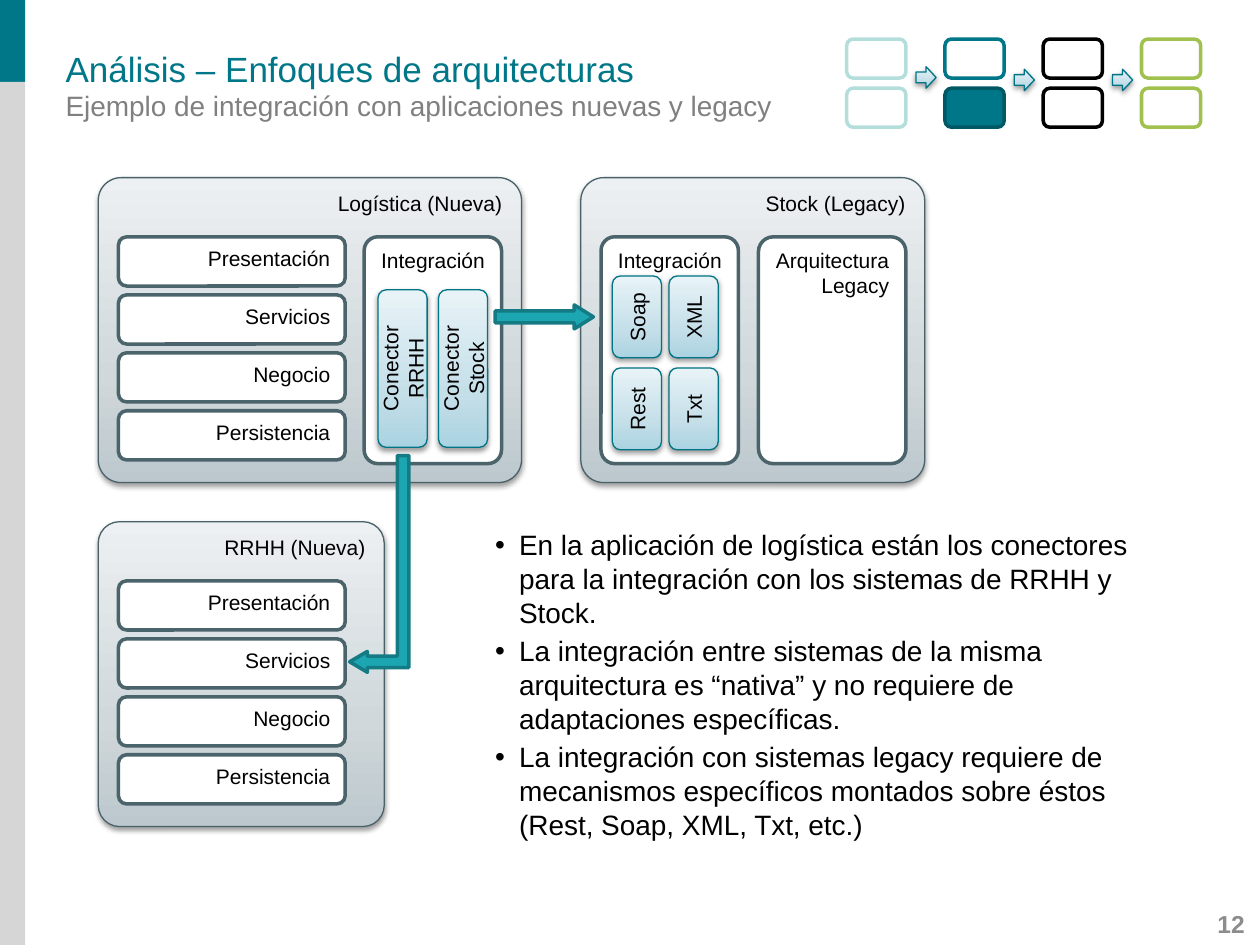
from lxml import etree
from pptx import Presentation
from pptx.dml.color import RGBColor
from pptx.enum.shapes import MSO_SHAPE
from pptx.enum.text import MSO_ANCHOR, MSO_AUTO_SIZE, PP_ALIGN
from pptx.oxml.ns import qn
from pptx.util import Inches, Pt

RECTANGLE, ROUNDED = MSO_SHAPE.RECTANGLE, MSO_SHAPE.ROUNDED_RECTANGLE
RIGHT_ARROW, BENT_ARROW = MSO_SHAPE.RIGHT_ARROW, MSO_SHAPE.BENT_UP_ARROW
LEFT, CENTER, RIGHT = PP_ALIGN.LEFT, PP_ALIGN.CENTER, PP_ALIGN.RIGHT
TOP, MIDDLE = MSO_ANCHOR.TOP, MSO_ANCHOR.MIDDLE

FONT = "Arial"
COLORS = {
    "teal": "007788", "teal_dark": "005865", "strip": "D6D6D6", "grey": "808080",
    "number": "8C8C8C", "black": "000000", "white": "FFFFFF", "pale": "B4DEDC",
    "green": "A1C14E", "box_line": "4B636A", "panel_line": "496168",
    "connector_line": "007485", "arrow": "1BA6B2", "arrow_line": "147B84",
}
STOPS = (0, 35, 100)
GRADIENTS = {
    "panel": ("BCC8CD", "D0D8DB", "EDF0F2"),
    "connector": ("AAD3E1", "C5DFE9", "E8F3F7"),
}
STYLES = {
    "panel": {"gradient": "panel", "line": "panel_line", "width": 0.75},
    "box": {"fill": "white", "line": "box_line", "width": 2},
    "connector": {"gradient": "connector", "line": "connector_line", "width": 0.75},
    "arrow": {"fill": "arrow", "line": "arrow_line", "width": 2},
}

TITLE = "Análisis – Enfoques de arquitecturas"
SUBTITLE = "Ejemplo de integración con aplicaciones nuevas y legacy"
POINTS = [
    "En la aplicación de logística están los conectores para la integración con los sistemas de RRHH y Stock.",
    "La integración entre sistemas de la misma arquitectura es “nativa” y no requiere de adaptaciones específicas.",
    "La integración con sistemas legacy requiere de mecanismos específicos montados sobre éstos "
    "(Rest, Soap, XML, Txt, etc.)",
]
PAGE_NUMBER = "12"
LAYERS = ["Presentación", "Servicios", "Negocio", "Persistencia"]
# Columns and connectors: text, offset from the panel, size
SYSTEMS = [
    {"name": "Logística (Nueva)", "at": (0.78, 1.41), "width": 3.36, "layers": LAYERS,
     "columns": [("Integración", 2.11, 1.09)],
     "connectors": [("Conector RRHH", 2.22, 0.89, 1.25), ("Conector Stock", 2.7, 0.89, 1.25)]},
    {"name": "RRHH (Nueva)", "at": (0.78, 4.14), "width": 2.27, "layers": LAYERS,
     "columns": [], "connectors": []},
    {"name": "Stock (Legacy)", "at": (4.61, 1.41), "width": 2.73, "layers": [],
     "columns": [("Integración", 0.16, 1.09), ("Arquitectura Legacy", 1.41, 1.17)],
     "connectors": [("Soap", 0.25, 0.78, 0.65), ("XML", 0.7, 0.78, 0.65),
                    ("Rest", 0.25, 1.51, 0.65), ("Txt", 0.7, 1.51, 0.65)]},
]
PANEL_HEIGHT, COLUMN_HEIGHT = 2.42, 1.8
INNER_LEFT, INNER_TOP = 0.16, 0.47
LAYER_WIDTH, LAYER_HEIGHT, LAYER_PITCH = 1.8, 0.39, 0.46
CONNECTOR_WIDTH = 0.39

STAGES = ["pale", "teal", "black", "green"]
CURRENT_STAGE = (1, 1)
STAGE_LEFT, STAGE_TOP, STAGE_PITCH, STAGE_ROW = 6.72, 0.31, 0.78, 0.39
STAGE_ARROW_TOPS = [0.53, 0.55, 0.55]


def rgb(name):
    return RGBColor.from_string(COLORS[name])


def add_color(parent, value):
    return etree.SubElement(parent, qn("a:srgbClr"), val=value)


def paint_gradient(shape, colors):
    """Give the shape a three-stop gradient, running upwards."""
    shape.fill.gradient()
    gradient = shape._element.spPr.find(qn("a:gradFill"))
    for child in list(gradient):
        gradient.remove(child)
    stops = etree.SubElement(gradient, qn("a:gsLst"))
    for position, color in zip(STOPS, colors):
        add_color(etree.SubElement(stops, qn("a:gs"), pos=str(position * 1000)), color)
    etree.SubElement(gradient, qn("a:lin"), ang=str(270 * 60000), scaled="0")


def add_shadow(shape):
    effects = shape._element.spPr.find(qn("a:effectLst"))
    shadow = etree.SubElement(effects, qn("a:outerShdw"), blurRad=str(Pt(3.1)),
                              dist=str(Pt(1.6)), dir=str(90 * 60000), rotWithShape="0")
    etree.SubElement(add_color(shadow, COLORS["black"]), qn("a:alpha"), val="38000")


def add_figure(shapes, kind, box, fill=None, gradient=None, line=None, width=0, adjustments=()):
    shape = shapes.add_shape(kind, *map(Inches, box))
    for index, value in enumerate(adjustments):
        shape.adjustments[index] = value
    if line:
        shape.line.color.rgb = rgb(line)
        shape.line.width = Pt(width)
    else:
        shape.line.fill.background()
    shape.shadow.inherit = False
    if gradient:
        paint_gradient(shape, GRADIENTS[gradient])
        add_shadow(shape)
    else:
        shape.fill.solid()
        shape.fill.fore_color.rgb = rgb(fill)
    return shape


def write(shape, texts, size, color, align, anchor=TOP, margin=None, bold=False, bullet=None):
    frame = shape.text_frame
    settings = {"word_wrap": True, "auto_size": MSO_AUTO_SIZE.NONE, "vertical_anchor": anchor}
    if margin is not None:
        settings.update({f"margin_{side}": Inches(margin) for side in ("left", "top", "right", "bottom")})
    for name, value in settings.items():
        setattr(frame, name, value)
    for index, text in enumerate(texts):
        paragraph = frame.add_paragraph() if index else frame.paragraphs[0]
        paragraph.text = text
        paragraph.alignment = align
        paragraph.space_before = Pt(3 if index else 0)
        properties = paragraph._p.get_or_add_pPr()
        indent = Inches(0.19) if bullet else 0
        properties.set("marL", str(indent))
        properties.set("indent", str(-indent))
        if bullet:
            etree.SubElement(properties, qn("a:buChar"), char=bullet)
        else:
            etree.SubElement(properties, qn("a:buNone"))
        for name, value in {"name": FONT, "size": Pt(size), "bold": bold}.items():
            setattr(paragraph.font, name, value)
        paragraph.font.color.rgb = rgb(color)


def place(shape, box):
    for name, value in zip(("left", "top", "width", "height"), box):
        setattr(shape, name, Inches(value))
    return shape


def add_system(slide, system):
    shapes = slide.shapes.add_group_shape().shapes
    left, top = system["at"]

    def add_box(text, box, style, *adjustments):
        shape = add_figure(shapes, ROUNDED, box, adjustments=adjustments, **STYLES[style])
        upright = style != "connector"
        write(shape, [text], 12, "black", RIGHT if upright else CENTER, TOP if upright else MIDDLE)
        if not upright:
            shape.text_frame._txBody.bodyPr.set("vert", "vert270")

    add_box(system["name"], (left, top, system["width"], PANEL_HEIGHT), "panel", 0.075)
    for row, text in enumerate(system["layers"]):
        y = top + INNER_TOP + row * LAYER_PITCH
        add_box(text, (left + INNER_LEFT, y, LAYER_WIDTH, LAYER_HEIGHT), "box")
    for text, x, width in system["columns"]:
        add_box(text, (left + x, top + INNER_TOP, width, COLUMN_HEIGHT), "box", 0.1)
    for text, x, y, height in system["connectors"]:
        add_box(text, (left + x, top + y, CONNECTOR_WIDTH, height), "connector")


def add_stage_map(slide):
    shapes = slide.shapes.add_group_shape().shapes
    for column, color in enumerate(STAGES):
        x = STAGE_LEFT + column * STAGE_PITCH
        for row in range(2):
            current = (column, row) == CURRENT_STAGE
            add_figure(shapes, ROUNDED, (x, STAGE_TOP + row * STAGE_ROW, 0.47, 0.31),
                       fill=color if current else "white",
                       line="teal_dark" if current else color, width=2)
    for column, y in enumerate(STAGE_ARROW_TOPS):
        x = STAGE_LEFT + 0.55 + column * STAGE_PITCH
        add_figure(shapes, RIGHT_ARROW, (x, y, 0.16, 0.17), **STYLES["connector"])


def main():
    presentation = Presentation()
    presentation.slide_width, presentation.slide_height = Inches(10), Inches(7.5)
    slide = presentation.slides.add_slide(presentation.slide_layouts[3])
    title, subtitle, points = slide.placeholders
    write(place(title, (0.52, 0.38, 9.24, 0.32)), [TITLE], 20, "teal", LEFT, MIDDLE, margin=0)
    write(place(subtitle, (0.52, 0.7, 9.24, 0.25)), [SUBTITLE], 16, "grey", LEFT, margin=0)
    write(place(points, (3.83, 4.14, 5.7, 2.58)), POINTS, 16, "black", LEFT, bullet="•")

    add_figure(slide.shapes, RECTANGLE, (0, 0, 0.2, 0.65), fill="teal")
    add_figure(slide.shapes, RECTANGLE, (0, 0.65, 0.2, 6.85), fill="strip")
    for system in SYSTEMS:
        add_system(slide, system)
    to_services = add_figure(slide.shapes, BENT_ARROW, (2.15, 4.24, 1.72, 0.47),
                             adjustments=(0.194, 0.176, 0.299), **STYLES["arrow"])
    to_services.rotation = 90
    to_services._element.spPr.find(qn("a:xfrm")).set("flipV", "1")
    add_figure(slide.shapes, RIGHT_ARROW, (3.93, 2.42, 0.78, 0.19),
               adjustments=(0.5, 0.8), **STYLES["arrow"])
    add_stage_map(slide)
    number = slide.shapes.add_textbox(*map(Inches, (8.35, 7.22, 1.53, 0.23)))
    write(number, [PAGE_NUMBER], 14, "number", RIGHT, MIDDLE, margin=0, bold=True)
    presentation.save("out.pptx")


if __name__ == "__main__":
    main()
